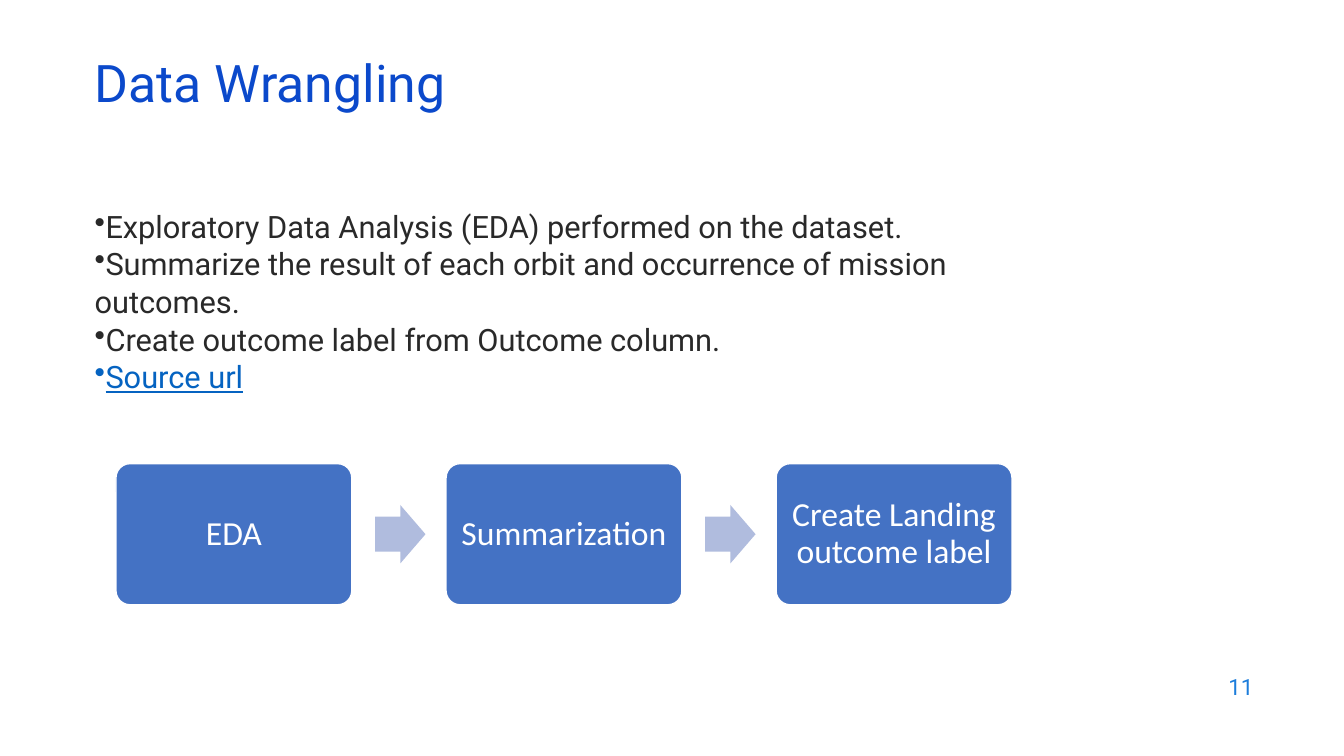
from dataclasses import dataclass

import pptx
import pptx.dml.color
import pptx.enum.shapes
import pptx.enum.text
import pptx.util
from lxml import etree
from pptx.oxml.ns import qn

COLORS = {
    "title": "0B49CB",
    "body": "292929",
    "link": "0563C1",
    "number": "1C7DDB",
    "step": "4472C4",
    "arrow": "B0BCDE",
    "white": "FFFFFF",
}
SLIDE_W = pptx.util.Inches(13.33)
SLIDE_H = pptx.util.Inches(7.5)
ALIGN = pptx.enum.text.PP_ALIGN
MIDDLE = pptx.enum.text.MSO_ANCHOR.MIDDLE
SHAPE = pptx.enum.shapes.MSO_SHAPE


@dataclass
class Area:
    """A rectangle in percent of the slide's width and height."""
    left: float
    top: float
    width: float
    height: float

    def emu(self) -> tuple[int, int, int, int]:
        return (int(SLIDE_W * self.left / 100), int(SLIDE_H * self.top / 100),
                int(SLIDE_W * self.width / 100), int(SLIDE_H * self.height / 100))


@dataclass
class Bullet:
    text: str
    color: str = "body"
    underline: bool = False


TITLE = Area(6.3, 7.87, 86.27, 8)
BODY = Area(6.3, 26.67, 73.67, 63.47)
NUMBER = Area(71.49, 87.87, 22.51, 5.87)

BULLETS = [
    Bullet("Exploratory Data Analysis (EDA) performed on the dataset."),
    Bullet("Summarize the result of each orbit and occurrence of mission outcomes."),
    Bullet("Create outcome label from Outcome column."),
    Bullet("Source url", "link", True),
]

STEPS = ["EDA", "Summarization", "Create Landing outcome label"]
FIRST_STEP = Area(8.63, 61.33, 17.55, 18.67)
STEP_PITCH = 24.56
ARROW_OFFSET = 19.28
ARROW_W, ARROW_H = 3.75, 7.73


def rgb(name: str) -> pptx.dml.color.RGBColor:
    return pptx.dml.color.RGBColor.from_string(COLORS[name])


def format_runs(p, font: str, size: float, color: str) -> None:
    for r in p.runs:
        r.font.name = font
        r.font.size = pptx.util.Pt(size)
        r.font.color.rgb = rgb(color)


def add_preset(slide, kind, area: Area, fill: str, adjustments: list[float]):
    sp = slide.shapes.add_shape(kind, *area.emu())
    sp.shadow.inherit = False
    sp.fill.solid()
    sp.fill.fore_color.rgb = rgb(fill)
    sp.line.fill.background()
    for i, value in enumerate(adjustments):
        sp.adjustments[i] = value
    return sp


def add_title(slide, text: str) -> None:
    sp = slide.shapes.title
    sp.left, sp.top, sp.width, sp.height = TITLE.emu()
    tf = sp.text_frame
    tf.text = text
    tf.auto_size = pptx.enum.text.MSO_AUTO_SIZE.NONE
    tf.vertical_anchor = MIDDLE
    p = tf.paragraphs[0]
    p.alignment = ALIGN.LEFT
    p.line_spacing = 0.7
    format_runs(p, "Roboto", 37, "title")


def add_bullets(slide, bullets: list[Bullet]) -> None:
    tf = slide.shapes.add_textbox(*BODY.emu()).text_frame
    tf.word_wrap = True
    for i, bullet in enumerate(bullets):
        p = tf.add_paragraph() if i else tf.paragraphs[0]
        p.text = bullet.text
        pPr = p._p.get_or_add_pPr()
        pPr.set("marL", "0")
        pPr.set("indent", "0")
        etree.SubElement(pPr, qn("a:buChar")).set("char", "•")
        p.line_spacing = 1.02
        format_runs(p, "Roboto", 22, bullet.color)
        if bullet.underline:
            p.runs[0].font.underline = True


def add_step(slide, index: int, text: str) -> None:
    area = Area(FIRST_STEP.left + index * STEP_PITCH, FIRST_STEP.top,
                FIRST_STEP.width, FIRST_STEP.height)
    sp = add_preset(slide, SHAPE.ROUNDED_RECTANGLE, area, "step", [0.1])
    sp.line.color.rgb = rgb("white")
    sp.line.width = pptx.util.Pt(1)
    tf = sp.text_frame
    tf.word_wrap = True
    tf.vertical_anchor = MIDDLE
    tf.margin_left = tf.margin_right = pptx.util.Inches(0.1)
    tf.text = text
    p = tf.paragraphs[0]
    p.alignment = ALIGN.CENTER
    p.line_spacing = 0.9
    format_runs(p, "Calibri", 24, "white")


def add_arrow(slide, index: int) -> None:
    area = Area(FIRST_STEP.left + index * STEP_PITCH + ARROW_OFFSET,
                FIRST_STEP.top + (FIRST_STEP.height - ARROW_H) / 2,
                ARROW_W, ARROW_H)
    add_preset(slide, SHAPE.RIGHT_ARROW, area, "arrow", [0.6, 0.5])


def add_number(slide, text: str) -> None:
    tf = slide.shapes.add_textbox(*NUMBER.emu()).text_frame
    tf.word_wrap = True
    tf.vertical_anchor = MIDDLE
    tf.text = text
    p = tf.paragraphs[0]
    p.alignment = ALIGN.RIGHT
    format_runs(p, "Roboto", 16, "number")


def main() -> None:
    prs = pptx.Presentation()
    prs.slide_width, prs.slide_height = SLIDE_W, SLIDE_H
    slide = prs.slides.add_slide(prs.slide_layouts.get_by_name("Title Only"))

    # Heading, bullets and page number
    add_title(slide, "Data Wrangling")
    add_bullets(slide, BULLETS)
    add_number(slide, "11")

    # Process flow with an arrow between neighbouring steps
    for i, step in enumerate(STEPS):
        add_step(slide, i, step)
        if i < len(STEPS) - 1:
            add_arrow(slide, i)

    prs.save("out.pptx")


if __name__ == "__main__":
    main()
